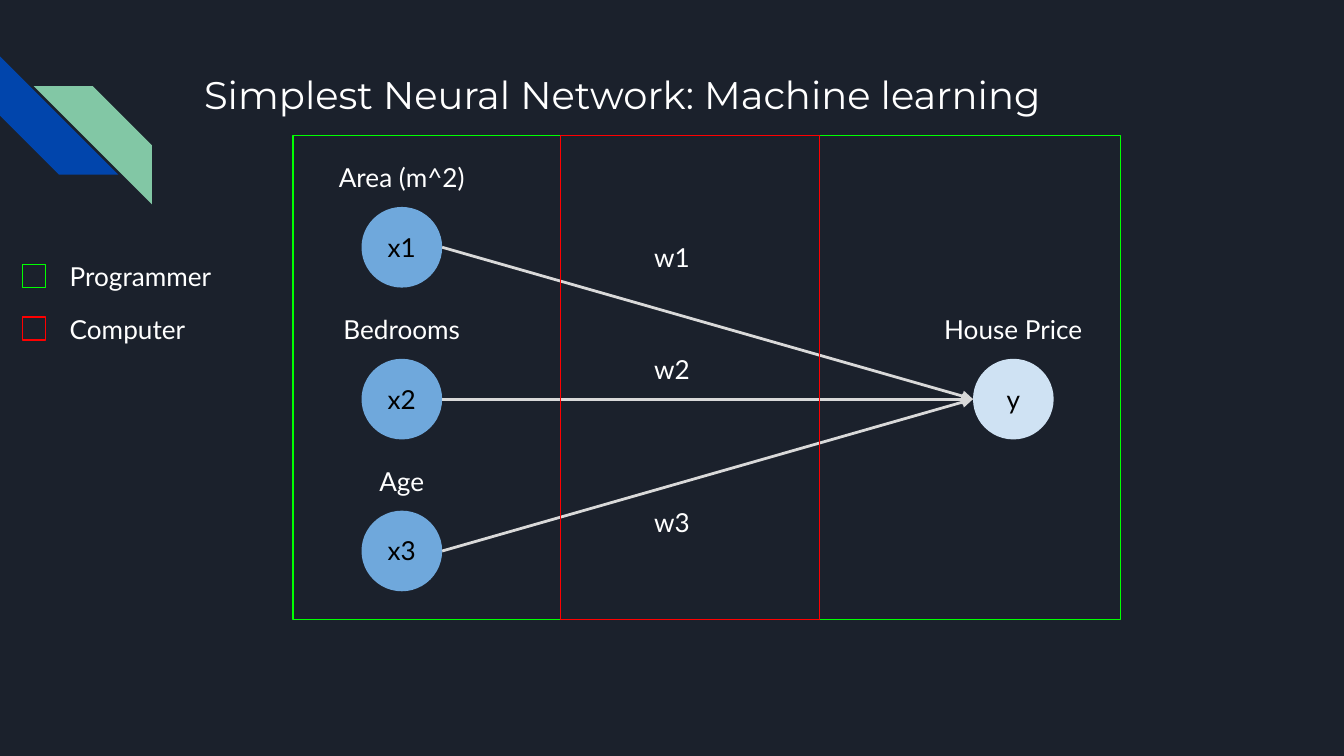
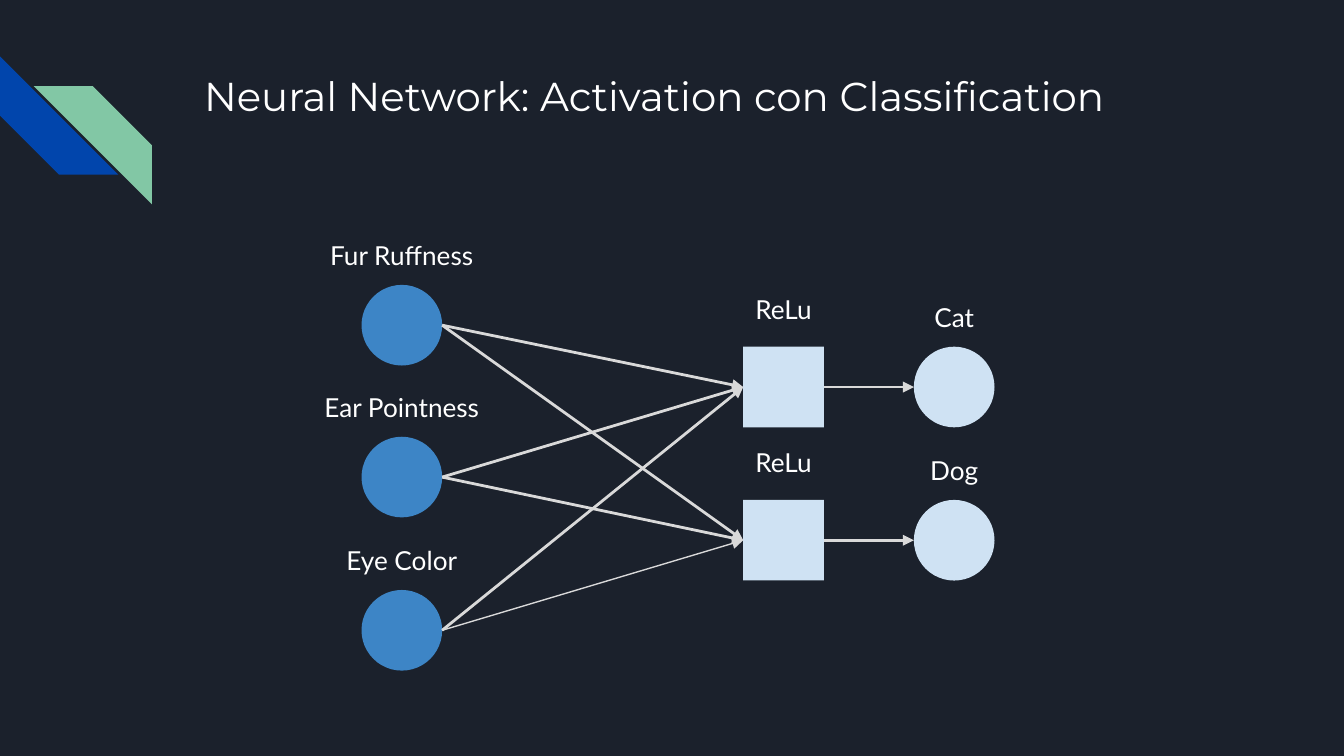
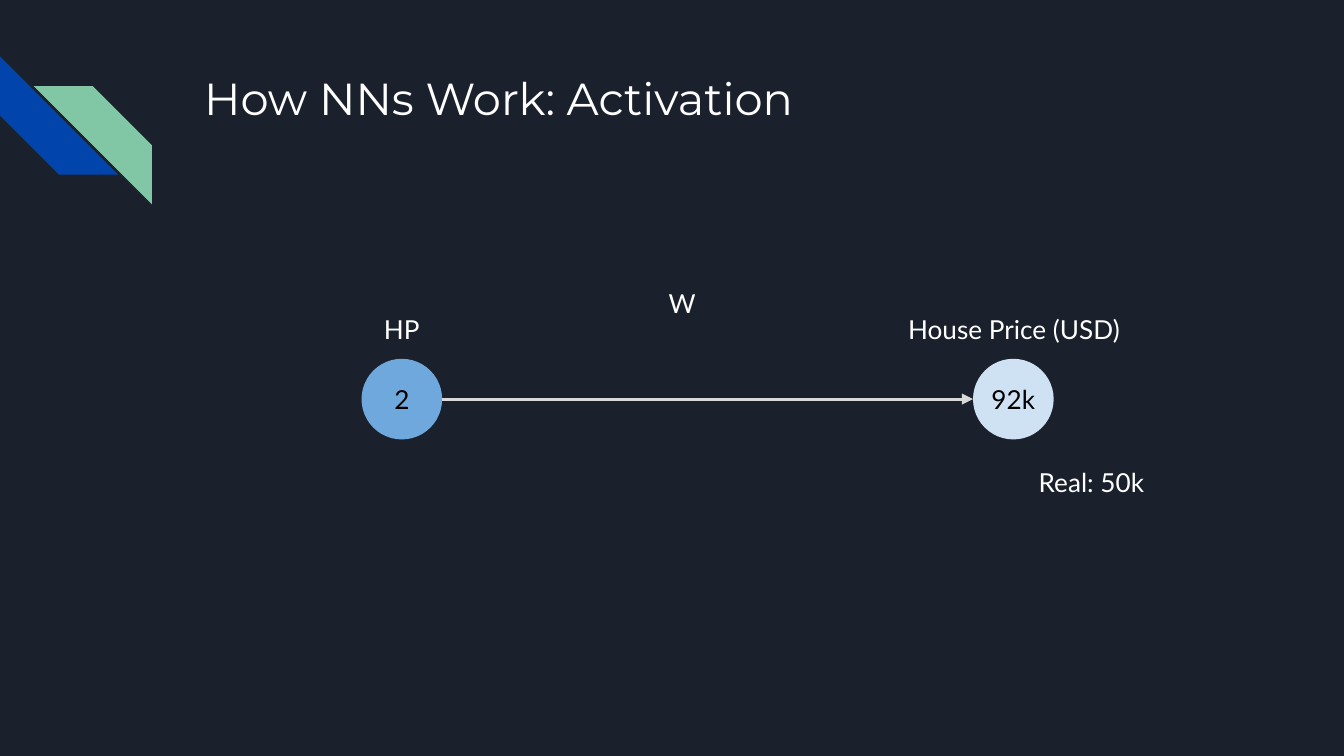
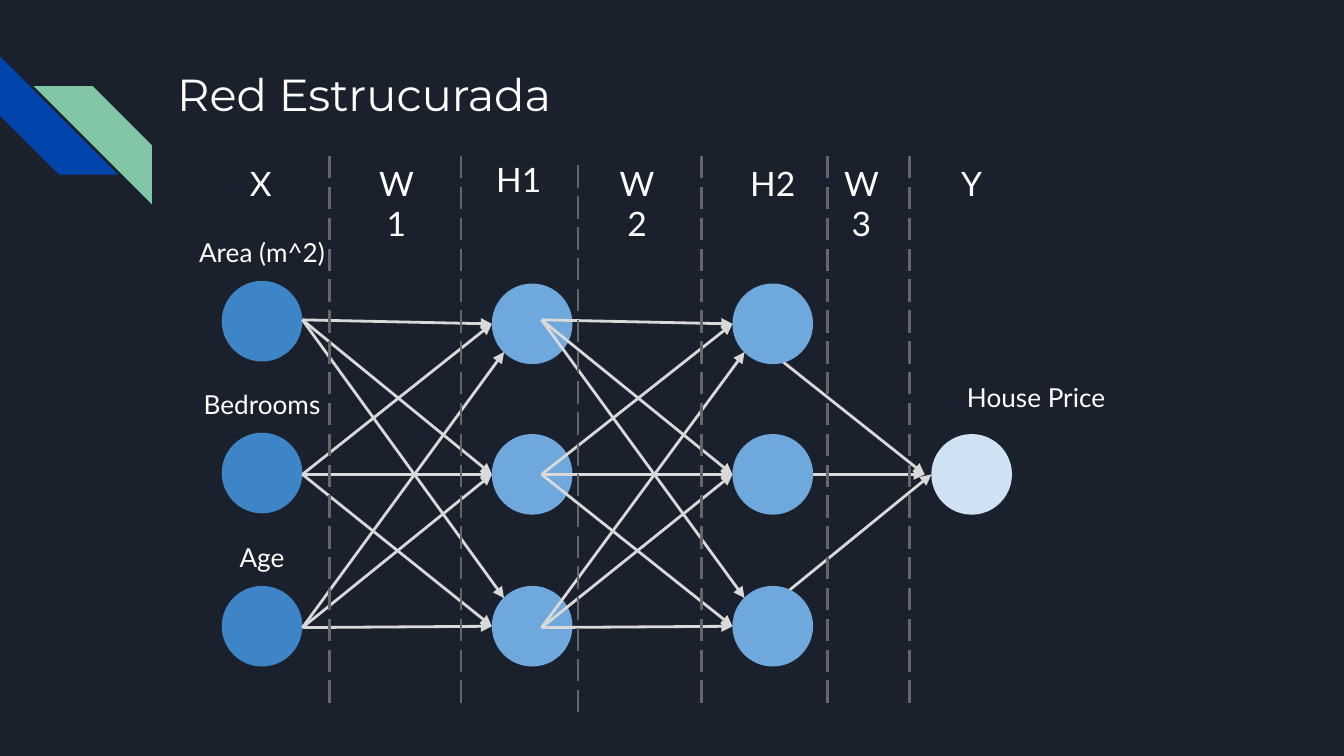
"""Builds four dark slides that explain neural networks with node diagrams."""
from lxml import etree
from pptx import Presentation
from pptx import util as u
from pptx.dml.color import RGBColor
from pptx.enum import dml, shapes, text
from pptx.oxml.ns import qn

PX = u.Inches(0.01)
NODE = 60
LABEL_H = 44
COLORS = {
    "night": "1B212C", "white": "FFFFFF", "black": "000000",
    "royal": "0145AC", "mint": "82C7A5",
    "input": "3D85C6", "hidden": "6FA8DC", "output": "CFE2F3",
    "arrow": "D9D9D9", "divider": "666666",
    "programmer": "00FF00", "computer": "FF0000",
}
OVAL = shapes.MSO_SHAPE.OVAL
RECTANGLE = shapes.MSO_SHAPE.RECTANGLE
STRIPE = shapes.MSO_SHAPE.DIAGONAL_STRIPE
LEFT, CENTER = text.PP_ALIGN.LEFT, text.PP_ALIGN.CENTER


def color(name):
    """Return the named colour."""
    return RGBColor.from_string(COLORS[name])


def emu(*lengths):
    """Turn px into EMU."""
    return [round(length * PX) for length in lengths]


def add_figure(parent, kind, box, fill=None, outline=None):
    """Add a preset shape with a plain fill or a thin outline."""
    figure = parent.shapes.add_shape(kind, *emu(*box))
    figure.shadow.inherit = False
    if fill:
        figure.fill.solid()
        figure.fill.fore_color.rgb = color(fill)
    else:
        figure.fill.background()
    if outline:
        figure.line.color.rgb = color(outline)
        figure.line.width = u.Pt(0.75)
    else:
        figure.line.fill.background()
    return figure


def add_label(slide, box, words, size=14, ink="white", align=CENTER,
              font="Lato", grow=True):
    """Add a line of text in a wrapping box."""
    label = slide.shapes.add_textbox(*emu(*box))
    frame = label.text_frame
    frame.word_wrap = True
    frame.auto_size = (text.MSO_AUTO_SIZE.SHAPE_TO_FIT_TEXT if grow
                       else text.MSO_AUTO_SIZE.NONE)
    frame.margin_left = frame.margin_right = u.Inches(0.1)
    frame.margin_top = frame.margin_bottom = u.Inches(0.1)
    paragraph = frame.paragraphs[0]
    paragraph.alignment = align
    run = paragraph.add_run()
    run.text = words
    run.font.size = u.Pt(size)
    run.font.name = font
    run.font.color.rgb = color(ink)


def add_line(slide, start, end, ink, width=1.5):
    """Add a straight connector without a shadow."""
    line = slide.shapes.add_connector(
        shapes.MSO_CONNECTOR.STRAIGHT, *emu(*start, *end))
    line.line.color.rgb = color(ink)
    line.line.width = u.Pt(width)
    etree.SubElement(line.element.spPr, qn("a:effectLst"))
    return line


def add_arrow(slide, start, end, width=1.5):
    """Add a connector with a triangle at its end."""
    arrow = add_line(slide, start, end, "arrow", width)
    outline = arrow.element.spPr.find(qn("a:ln"))
    etree.SubElement(outline, qn("a:tailEnd"), type="triangle")
    return arrow


def add_divider(slide, x, top, height):
    """Add a dashed vertical divider, drawn upwards."""
    divider = add_line(slide, (x, top + height), (x, top), "divider")
    divider.line.dash_style = dml.MSO_LINE.LONG_DASH


def link(slide, source, target, width=1.5):
    """Point an arrow from the right of one node to the left of another."""
    start = source.left + source.width, source.top + source.height / 2
    end = target.left, target.top + target.height / 2
    arrow = add_arrow(slide, [v / PX for v in start], [v / PX for v in end], width)
    if source.auto_shape_type == RECTANGLE:
        arrow.begin_connect(source, 3)
    if target.auto_shape_type == RECTANGLE:
        arrow.end_connect(target, 1)


def add_nodes(slide, box, count, fill, kind=OVAL):
    """Spread nodes evenly down a box and centre them across it."""
    left, top, width, height = box
    step = (height - NODE) / max(count - 1, 1)
    x = left + (width - NODE) // 2
    return [add_figure(slide, kind, (x, top + int(i * step), NODE, NODE), fill)
            for i in range(count)]


def add_layer(slide, box, captions, fill, kind=OVAL, drop=LABEL_H, values=()):
    """Add a column of nodes with captions above and values inside."""
    left, top, width, height = box
    nodes = add_nodes(slide, (left, top + drop, width, height - drop),
                      len(captions), fill, kind)
    for node, caption in zip(nodes, captions):
        add_label(slide, (left, node.top // PX - drop, width, LABEL_H), caption)
    for node, value in zip(nodes, values):
        add_label(slide, (node.left // PX, node.top // PX + 8, NODE, LABEL_H),
                  value, ink="black")
    return nodes


def add_weights(slide, box):
    """Cross a box with arrows from three nodes to three nodes."""
    left, top, width, height = box
    starts = (0, 115, height)
    tips = (3, 115, height - 1)
    for i, start in enumerate(starts):
        for j, tip in enumerate(tips):
            end = left + width, top + tip
            if abs(i - j) == 2:
                end = left + width + 9, top + (207 if j else 24)
            add_arrow(slide, (left, top + start), end)


def add_legend(slide, box):
    """Explain the frame colours."""
    left, top, width, height = box
    for i, role in enumerate(("Programmer", "Computer")):
        y = top + i * (height - LABEL_H)
        add_label(slide, (left + 25, y, width - 25, LABEL_H), role, align=LEFT)
        add_figure(slide, RECTANGLE, (left, y + 13, 17, 17), outline=role.lower())


def add_frames(slide, box):
    """Frame the parts set by the programmer and by the computer."""
    left, top, width, height = box
    weights, outputs = 199, 392
    for start, end, role in ((0, weights, "programmer"),
                             (outputs, width, "programmer"),
                             (weights, outputs, "computer")):
        add_figure(slide, RECTANGLE, (left + start, top, end - start, height),
                   outline=role)


def add_stripes(slide, box):
    """Add the pair of diagonal stripes in the corner."""
    left, top, width, height = box
    pair = slide.shapes.add_group_shape()
    royal = add_figure(pair, STRIPE, (left, top, 88, 88), "royal")
    royal.rotation = 270
    mint = add_figure(pair, STRIPE, (left + width - 88, top + height - 88, 88, 88),
                      "mint")
    mint.element.spPr.find(qn("a:xfrm")).set("flipH", "1")


def new_slide(deck, title, size, box):
    """Start a slide with the shared background, stripes and title."""
    slide = deck.slides.add_slide(deck.slide_layouts[6])
    slide.background.fill.solid()
    slide.background.fill.fore_color.rgb = color("night")
    add_stripes(slide, (0, 42, 113, 110))
    add_label(slide, box, title, size, align=LEFT, font="Montserrat", grow=False)
    return slide


def simplest_network(deck):
    """Build the slide on the simplest network."""
    slide = new_slide(deck, "Simplest Neural Network: Machine learning", 20.6,
                      (142, 43, 761, 60))
    features = add_layer(slide, (216, 110, 166, 330),
                         ("Area (m^2)", "Bedrooms", "Age"), "hidden",
                         values=("x1", "x2", "x3"))
    price, = add_layer(slide, (671, 223, 166, 104), ("House Price",), "output",
                       values=("y",))
    for feature in features:
        link(slide, feature, price)
    for weight, y in (("w1", 170), ("w2", 253), ("w3", 367)):
        add_label(slide, (470, y, NODE, LABEL_H), weight)
    add_legend(slide, (17, 184, 163, 83))
    add_frames(slide, (218, 101, 616, 360))


def classification(deck):
    """Build the slide on activation with classification."""
    slide = new_slide(deck, "Neural Network: Activation con Classification", 21.6,
                      (142, 43, 764, 60))
    traits = add_layer(slide, (216, 168, 166, 331),
                       ("Fur Ruffness", "Ear Pointness", "Eye Color"), "input")
    relus = add_layer(slide, (500, 208, 166, 224), ("ReLu", "ReLu"), "output",
                      RECTANGLE, drop=50)
    animals = add_layer(slide, (627, 214, 166, 218), ("Cat", "Dog"), "output")
    for relu, animal in zip(relus, animals):
        for trait in traits:
            thin = trait is traits[-1] and relu is relus[-1]
            link(slide, trait, relu, 0.75 if thin else 1.5)
        link(slide, relu, animal)


def activation(deck):
    """Build the slide on how activation works."""
    slide = new_slide(deck, "How NNs Work: Activation", 24, (142, 43, 732, 60))
    power, = add_layer(slide, (216, 223, 166, 104), ("HP",), "hidden",
                       values=("2",))
    price, = add_layer(slide, (662, 223, 185, 104), ("House Price (USD)",),
                       "output", values=("92k",))
    add_label(slide, (425, 204, 165, LABEL_H), "W")
    add_label(slide, (763, 337, 121, LABEL_H), "Real: 50k", align=LEFT)
    link(slide, power, price)


def structured_network(deck):
    """Build the slide on the layered network."""
    slide = new_slide(deck, "Red Estrucurada", 24, (122, 40, 764, 60))
    add_layer(slide, (112, 166, 166, 330), ("Area (m^2)", "Bedrooms", "Age"),
              "input", drop=43)
    add_nodes(slide, (693, 323, NODE, NODE), 1, "output")
    add_label(slide, (688, 274, 166, LABEL_H), "House Price")
    add_nodes(slide, (366, 211, NODE, 285), 3, "hidden")
    add_weights(slide, (225, 238, 141, 229))
    for start, end in (((547, 241), (688, 353)), ((547, 353), (688, 353)),
                       ((552, 468), (693, 353))):
        add_arrow(slide, start, end)
    add_nodes(slide, (545, 211, NODE, 285), 3, "hidden")
    add_weights(slide, (403, 238, 142, 229))
    for heading, x, y in (("X", 164, 111), ("W1", 265, 111), ("H1", 356, 108),
                          ("W2", 444, 111), ("H2", 545, 111), ("W3", 611, 111),
                          ("Y", 693, 111)):
        add_label(slide, (x, y, NODE, 50), heading, 18)
    for x, top in ((245, 111), (343, 111), (430, 118), (522, 111), (616, 111),
                   (677, 111)):
        add_divider(slide, x, top, 412)


def main():
    """Build the deck and save it."""
    deck = Presentation()
    deck.slide_width = 1000 * PX
    deck.slide_height = deck.slide_width * 9 // 16
    simplest_network(deck)
    classification(deck)
    activation(deck)
    structured_network(deck)
    deck.save("out.pptx")


if __name__ == "__main__":
    main()
